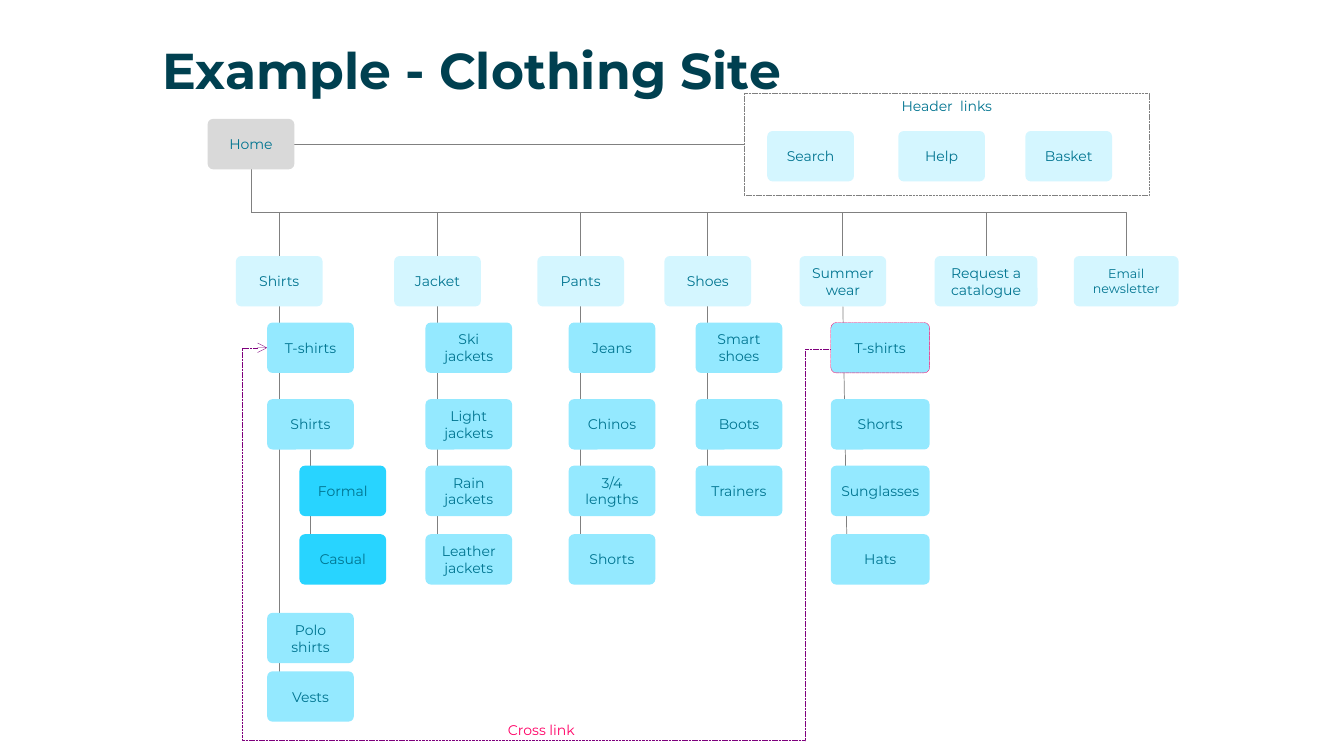
from dataclasses import dataclass

from lxml.etree import SubElement
from pptx import Presentation
from pptx.dml.color import RGBColor
from pptx.enum.dml import MSO_LINE
from pptx.enum.shapes import MSO_CONNECTOR, MSO_SHAPE
from pptx.enum.text import MSO_ANCHOR, PP_ALIGN
from pptx.oxml.ns import qn
from pptx.shapes.autoshape import Shape
from pptx.shapes.connector import Connector
from pptx.slide import Slide
from pptx.text.text import TextFrame
from pptx.util import Inches, Pt


@dataclass(frozen=True)
class Theme:
    font: str = "Montserrat"
    title_size: float = 36
    label_size: float = 10
    small_size: float = 9
    tree_width: float = 0.5
    dash_width: float = 0.25
    title: str = "004050"
    label: str = "007490"
    line: str = "808080"
    home: str = "D9D9D9"
    section: str = "D4F6FF"
    category: str = "94E9FF"
    detail: str = "28D4FF"
    accent: str = "FF0066"
    cross_line: str = "7F007D"


@dataclass(frozen=True)
class Node:
    text: str
    left: float
    top: float
    fill: str | None
    width: float = 0.86
    height: float = 0.5
    size: float = 10
    color: str = "007490"
    outline: str | None = None
    shape: MSO_SHAPE = MSO_SHAPE.ROUNDED_RECTANGLE
    anchor: MSO_ANCHOR = MSO_ANCHOR.MIDDLE
    side_inset: float = 0.1

    @property
    def center(self) -> float:
        return self.left + self.width / 2

    @property
    def bottom(self) -> float:
        return self.top + self.height


@dataclass(frozen=True)
class Section:
    text: str
    left: float
    children: tuple[str, ...] = ()
    rows: tuple[float, ...] = (3.2, 3.96, 4.62, 5.3)
    width: float = 0.86
    child_width: float = 0.86
    size: float = 10
    drift: float = 0

    @property
    def node(self) -> Node:
        return Node(self.text, self.left, SECTION_TOP, THEME.section, self.width, size=self.size)

    @property
    def child_nodes(self) -> list[Node]:
        return [Node(text, self.left + CHILD_INDENT, top, THEME.category, self.child_width,
                     outline=THEME.accent if (self.text, text) == CROSS_SOURCE else None,
                     side_inset=0.04 if text == "Sunglasses" else 0.1)
                for text, top in zip(self.children, self.rows)]


THEME = Theme()
SECTION_TOP = 2.54
CHILD_INDENT = 0.31
CROSS_SOURCE = ("Summer wear", "T-shirts")
CROSS_BOTTOM, CROSS_MARGIN = 7.41, 0.25

HOME = Node("Home", 2.06, 1.18, THEME.home)
HEADER = Node("Header  links", 7.38, 0.92, None, 4.02, 1.02, outline=THEME.line,
              shape=MSO_SHAPE.RECTANGLE, anchor=MSO_ANCHOR.TOP)
HEADER_LINKS = [Node(text, left, 1.3, THEME.section)
                for text, left in (("Search", 7.61), ("Help", 8.91), ("Basket", 10.17))]
SECTIONS = (
    Section("Shirts", 2.34, ("T-shirts", "Shirts", "Polo shirts", "Vests"),
            rows=(3.2, 3.96, 6.08, 6.66)),
    Section("Jacket", 3.91, ("Ski jackets", "Light jackets", "Rain jackets", "Leather jackets")),
    Section("Pants", 5.33, ("Jeans", "Chinos", "3/4 lengths", "Shorts")),
    Section("Shoes", 6.59, ("Smart shoes", "Boots", "Trainers")),
    Section("Summer wear", 7.93, ("T-shirts", "Shorts", "Sunglasses", "Hats"),
            child_width=0.98, drift=0.04),
    Section("Request a catalogue", 9.27, width=1.02),
    Section("Email newsletter", 10.65, width=1.04, size=THEME.small_size),
)
SHIRT_STYLES = [Node(text, 2.97, top, THEME.detail)
                for text, top in (("Formal", 4.62), ("Casual", 5.3))]
CROSS_LABEL = Node("Cross link", 4.62, 7.06, None, 1.5, 0.36, color=THEME.accent)


def write_text(frame: TextFrame, text: str, size: float, color: str,
               align: PP_ALIGN, bold: bool = False) -> None:
    frame.word_wrap = True
    para = frame.paragraphs[0]
    para.alignment = align
    span = para.add_run()
    span.text = text
    span.font.name = THEME.font
    span.font.size = Pt(size)
    span.font.bold = bold
    span.font.color.rgb = RGBColor.from_string(color)


def add_node(page: Slide, node: Node) -> Shape:
    box = page.shapes.add_shape(node.shape, Inches(node.left), Inches(node.top),
                                Inches(node.width), Inches(node.height))
    box.shadow.inherit = False
    if node.shape == MSO_SHAPE.ROUNDED_RECTANGLE:
        box.adjustments[0] = 0.108
    if node.fill:
        box.fill.solid()
        box.fill.fore_color.rgb = RGBColor.from_string(node.fill)
    else:
        box.fill.background()
    if node.outline:
        box.line.color.rgb = RGBColor.from_string(node.outline)
        box.line.width = Pt(THEME.dash_width)
        box.line.dash_style = MSO_LINE.SQUARE_DOT
    else:
        box.line.fill.background()
    frame = box.text_frame
    frame.vertical_anchor = node.anchor
    frame.margin_left = frame.margin_right = Inches(node.side_inset)
    write_text(frame, node.text, node.size, node.color, PP_ALIGN.CENTER)
    return box


def add_line(page: Slide, x1: float, y1: float, x2: float, y2: float,
             kind: MSO_CONNECTOR = MSO_CONNECTOR.STRAIGHT) -> Connector:
    line = page.shapes.add_connector(kind, Inches(x1), Inches(y1), Inches(x2), Inches(y2))
    line.line.color.rgb = RGBColor.from_string(THEME.line)
    line.line.width = Pt(THEME.tree_width)
    SubElement(line._element.spPr, qn("a:effectLst"))
    return line


def rotate(line: Connector, degrees: int) -> None:
    line._element.spPr.find(qn("a:xfrm")).set("rot", str(degrees * 60000))


def add_drop(page: Slide, parent: Node, child: Node) -> None:
    """Elbow that leaves the parent downwards and enters the child from above."""
    mid_x, mid_y = (parent.center + child.center) / 2, (parent.bottom + child.top) / 2
    half_x, half_y = (child.center - parent.center) / 2, (child.top - parent.bottom) / 2
    elbow = add_line(page, mid_x + half_y, mid_y - half_x, mid_x - half_y, mid_y + half_x,
                     MSO_CONNECTOR.ELBOW)
    rotate(elbow, 270)


def add_cross_link(page: Slide, source: Node, target: Node) -> None:
    """Dashed arrow that runs below the tree from source back to target."""
    start_y, end_y = 3.46, 3.45
    span = source.left - target.left
    link = add_line(page, target.left, end_y, source.left, start_y, MSO_CONNECTOR.ELBOW)
    rotate(link, 180)
    geometry = link._element.spPr.find(qn("a:prstGeom"))
    geometry.set("prst", "bentConnector5")
    guides = geometry.find(qn("a:avLst"))
    ratios = (CROSS_MARGIN / span, (start_y - CROSS_BOTTOM) / (start_y - end_y),
              1 + CROSS_MARGIN / span)
    for index, ratio in enumerate(ratios, 1):
        SubElement(guides, qn("a:gd"), name=f"adj{index}", fmla=f"val {round(ratio * 100000)}")
    link.line.color.rgb = RGBColor.from_string(THEME.cross_line)
    link.line.width = Pt(THEME.dash_width)
    link.line.dash_style = MSO_LINE.SQUARE_DOT
    SubElement(link.line._get_or_add_ln(), qn("a:tailEnd"), type="arrow")


def add_title(page: Slide, text: str) -> None:
    title = page.shapes.title
    title.left, title.top, title.width, title.height = map(Inches, (1.61, 0.37, 6.94, 0.63))
    frame = title.text_frame
    frame.margin_left = frame.margin_right = frame.margin_top = frame.margin_bottom = 0
    frame.vertical_anchor = MSO_ANCHOR.MIDDLE
    write_text(frame, text, THEME.title_size, THEME.title, PP_ALIGN.LEFT, bold=True)


def main() -> None:
    deck = Presentation()
    deck.slide_width, deck.slide_height = Inches(13.33), Inches(7.5)
    page = deck.slides.add_slide(deck.slide_layouts[5])
    add_title(page, "Example - Clothing Site")

    add_line(page, HOME.left + HOME.width, 1.43, HEADER.left, 1.43)
    style_x = SHIRT_STYLES[0].left + 0.11
    add_line(page, style_x, 4.46, style_x, 5.4)
    for section in SECTIONS:
        add_drop(page, HOME, section.node)
        if section.children:
            trunk_x, last = section.node.center, section.child_nodes[-1]
            add_line(page, trunk_x, section.node.bottom, trunk_x + section.drift, last.top + 0.1)
    add_cross_link(page, SECTIONS[4].child_nodes[0], SECTIONS[0].child_nodes[0])

    nodes = [HOME, HEADER, *HEADER_LINKS, CROSS_LABEL, *SHIRT_STYLES]
    for section in SECTIONS:
        nodes += [section.node, *section.child_nodes]
    for node in nodes:
        add_node(page, node)
    deck.save("out.pptx")


if __name__ == "__main__":
    main()
